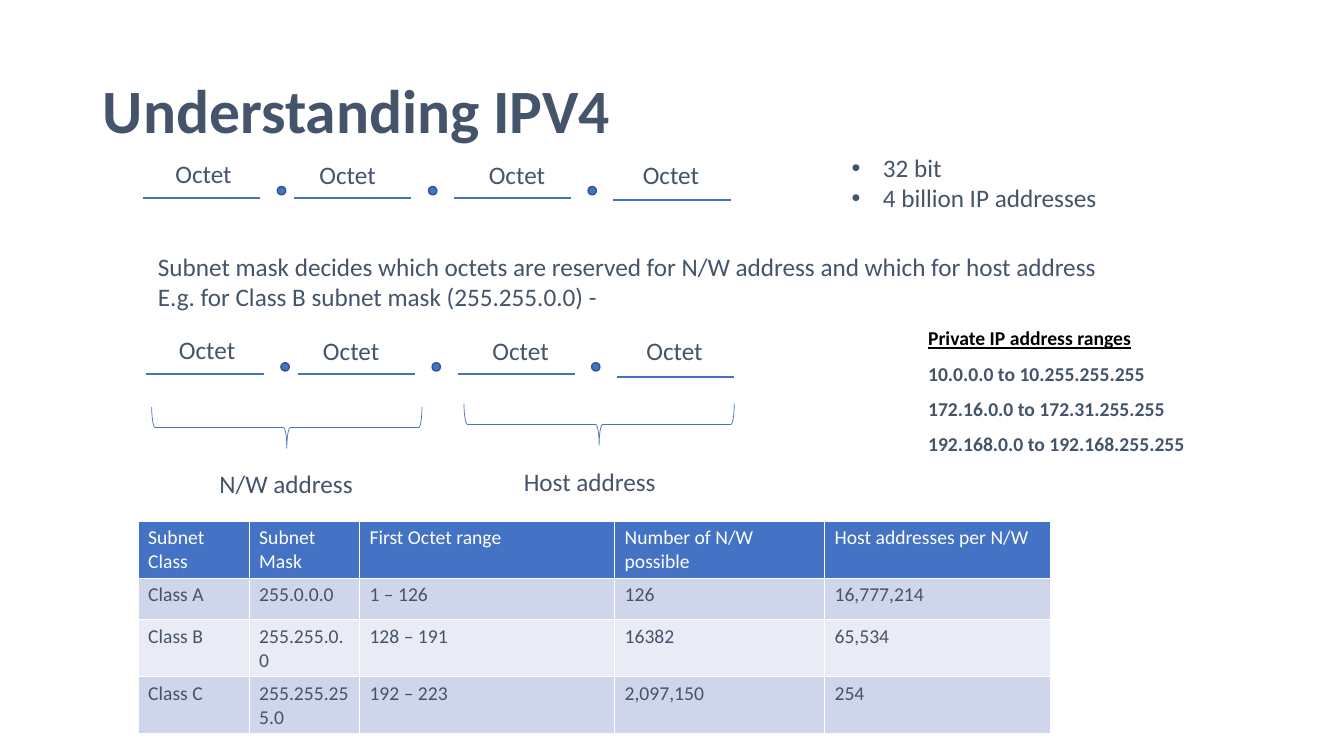
from lxml import etree
from pptx import Presentation
from pptx.dml.color import RGBColor
from pptx.enum.shapes import MSO_CONNECTOR as LINE, MSO_SHAPE as SHAPE
from pptx.enum.text import MSO_ANCHOR as ANCHOR, MSO_AUTO_SIZE as FIT, PP_ALIGN as ALIGN
from pptx.oxml.ns import qn
from pptx.util import Cm, Pt

SLATE = RGBColor(0x44, 0x54, 0x6A)
BLUE = RGBColor(0x44, 0x72, 0xC4)
DARK_BLUE = RGBColor(0x32, 0x54, 0x91)
BAND_DARK = RGBColor(0xCF, 0xD5, 0xEA)
BAND_LIGHT = RGBColor(0xE9, 0xEB, 0xF5)
WHITE = RGBColor(0xFF, 0xFF, 0xFF)
BLACK = RGBColor(0, 0, 0)

# Octet row in cm: left and top of each label, left and height of each line
OCTETS = [
    (4.17, 3.86, 3.6, 4.98),
    (7.8, 3.89, 7.41, 4.98),
    (12.07, 3.89, 11.44, 4.98),
    (15.95, 3.89, 15.45, 5.05),
]
OCTET_LINE = 2.96
DOT_LEFTS = [6.99, 10.8, 14.82]
DOT_TOP, DOT_SIZE = 4.7, 0.21

COLUMN_WIDTHS = [2.8, 2.78, 6.43, 5.29, 5.7]
ROW_HEIGHT = 1.04
SUBNETS = [
    ["Subnet Class", "Subnet Mask", "First Octet range",
     "Number of N/W possible", "Host addresses per N/W"],
    ["Class A", "255.0.0.0", "1 – 126", "126", "16,777,214"],
    ["Class B", "255.255.0.0", "128 – 191", "16382", "65,534"],
    ["Class C", "255.255.255.0", "192 – 223", "2,097,150", "254"],
]


def set_font(paragraph, size, color=SLATE, bold=False):
    font = paragraph.font
    font.name, font.size, font.bold = "Calibri", Pt(size), bold
    font.color.rgb = color


def add_title(slide, text):
    title = slide.shapes.title
    title.left, title.top, title.width, title.height = Cm(2.34), Cm(1.02), Cm(29.21), Cm(3.68)
    frame = title.text_frame
    frame.text = text
    frame.vertical_anchor = ANCHOR.MIDDLE
    heading = frame.paragraphs[0]
    heading.alignment = ALIGN.LEFT
    heading.line_spacing = 0.9
    set_font(heading, 44, bold=True)


def add_text(shapes, left, top, width, height, lines, size=18, bold=False, wrap=False):
    box = shapes.add_textbox(Cm(left), Cm(top), Cm(width), Cm(height))
    frame = box.text_frame
    frame.word_wrap = wrap
    frame.auto_size = FIT.SHAPE_TO_FIT_TEXT
    frame.text = "\n".join(lines)
    for paragraph in frame.paragraphs:
        set_font(paragraph, size, bold=bold)
    return frame.paragraphs


def add_bullet(paragraph):
    properties = paragraph._p.get_or_add_pPr()
    properties.set("marL", str(Cm(0.79)))
    properties.set("indent", str(-Cm(0.79)))
    etree.SubElement(properties, qn("a:buFont"), typeface="Arial")
    etree.SubElement(properties, qn("a:buChar"), char="•")


def add_line(shapes, left, top, length):
    line = shapes.add_connector(LINE.STRAIGHT, Cm(left), Cm(top), Cm(left + length), Cm(top))
    line.line.color.rgb = BLUE
    line.line.width = Pt(1.5)
    etree.SubElement(line._element.spPr, qn("a:effectLst"))


def add_dot(shapes, left, top):
    dot = shapes.add_shape(SHAPE.OVAL, Cm(left), Cm(top), Cm(DOT_SIZE), Cm(DOT_SIZE))
    dot.shadow.inherit = False
    dot.fill.solid()
    dot.fill.fore_color.rgb = BLUE
    dot.line.color.rgb = DARK_BLUE
    dot.line.width = Pt(1)


def add_octet_row(slide, dx=0, dy=0):
    shapes = slide.shapes.add_group_shape().shapes
    for label_left, label_top, line_left, line_top in OCTETS:
        add_line(shapes, line_left + dx, line_top + dy, OCTET_LINE)
        add_text(shapes, label_left + dx, label_top + dy, 1.96, 1.02, ["Octet"])
    for dot_left in DOT_LEFTS:
        add_dot(shapes, dot_left + dx, DOT_TOP + dy)


def add_brace(slide, left, top):
    brace = slide.shapes.add_shape(SHAPE.LEFT_BRACE, Cm(left), Cm(top), Cm(1.04), Cm(6.81))
    brace.rotation = 270
    brace.shadow.inherit = False
    brace.fill.background()
    brace.line.color.rgb = BLUE
    brace.line.width = Pt(0.5)


def add_subnet_table(slide):
    table = slide.shapes.add_table(
        len(SUBNETS), len(COLUMN_WIDTHS), Cm(3.48), Cm(13.13),
        Cm(sum(COLUMN_WIDTHS)), Cm(ROW_HEIGHT * len(SUBNETS))).table
    for column, width in zip(table.columns, COLUMN_WIDTHS):
        column.width = Cm(width)
    for row, values in enumerate(SUBNETS):
        table.rows[row].height = Cm(ROW_HEIGHT)
        band = BLUE if row == 0 else BAND_DARK if row % 2 else BAND_LIGHT
        for column, value in enumerate(values):
            cell = table.cell(row, column)
            cell.text = value
            cell.fill.solid()
            cell.fill.fore_color.rgb = band
            set_font(cell.text_frame.paragraphs[0], 14, SLATE if row else WHITE)


def main():
    deck = Presentation()
    deck.slide_width, deck.slide_height = Cm(33.87), Cm(19.05)
    slide = deck.slides.add_slide(deck.slide_layouts[5])
    shapes = slide.shapes
    add_title(slide, "Understanding IPV4")

    # Address structure and its size
    add_octet_row(slide)
    for fact in add_text(shapes, 21.21, 3.71, 6.76, 1.8, ["32 bit", "4 billion IP addresses"]):
        add_bullet(fact)

    # Subnet mask example, split into network and host parts
    add_text(shapes, 3.73, 6.2, 24.46, 1.8, [
        "Subnet mask decides which octets are reserved for N/W address and which for host address",
        "E.g. for Class B subnet mask (255.255.0.0) -"])
    add_octet_row(slide, 0.09, 4.44)
    add_brace(slide, 6.71, 7.37)
    add_brace(slide, 14.58, 7.29)
    add_text(shapes, 5.28, 11.68, 4.06, 1.02, ["N/W address"], wrap=True)
    add_text(shapes, 12.95, 11.63, 3.86, 1.02, ["Host address"], wrap=True)

    # Subnet classes
    add_subnet_table(slide)

    # Private ranges
    heading, *ranges = add_text(shapes, 23.14, 8.1, 7.06, 4.14, [
        "Private IP address ranges",
        "10.0.0.0 to 10.255.255.255",
        "172.16.0.0 to 172.31.255.255",
        "192.168.0.0 to 192.168.255.255"], size=14, bold=True)
    heading.font.underline = True
    heading.font.color.rgb = BLACK
    for address_range in ranges:
        address_range.line_spacing = 1.5

    deck.save("out.pptx")


if __name__ == "__main__":
    main()
